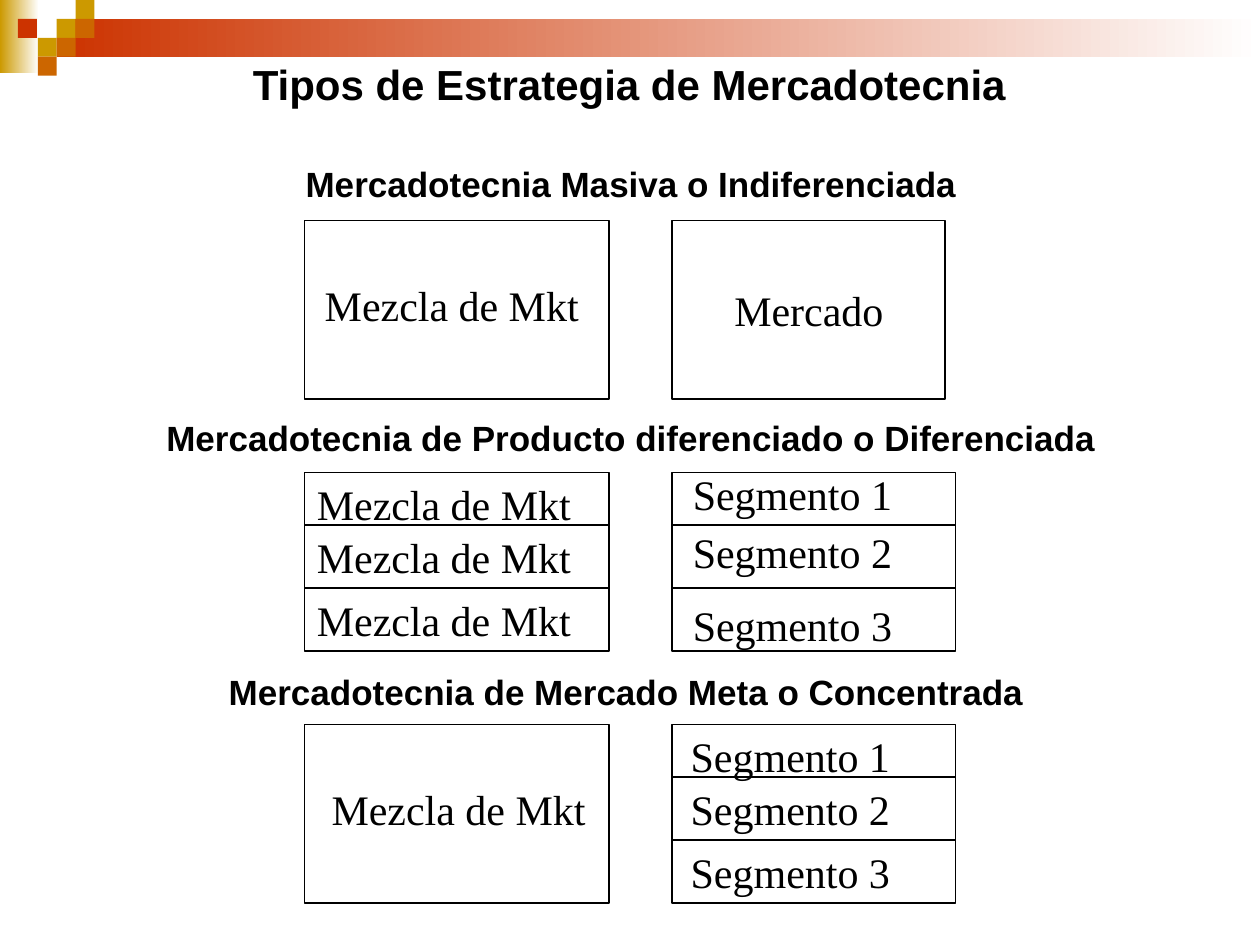
from lxml import etree
from pptx import Presentation
from pptx.dml.color import RGBColor
from pptx.enum.shapes import MSO_CONNECTOR, MSO_SHAPE
from pptx.enum.text import MSO_AUTO_SIZE, PP_ALIGN
from pptx.oxml.ns import qn
from pptx.util import Inches, Pt

RECT, LINE = MSO_SHAPE.RECTANGLE, MSO_CONNECTOR.STRAIGHT
GROW, CENTER, LEFT = MSO_AUTO_SIZE.SHAPE_TO_FIT_TEXT, PP_ALIGN.CENTER, PP_ALIGN.LEFT
COLORS = {"ink": "000000", "paper": "FFFFFF", "gold": "CC9900", "red": "CC3300", "orange": "CC6600"}
TITLE = {"name": "Arial", "size": Pt(24), "bold": True}
HEADING = {"name": "Arial", "size": Pt(20), "bold": True}
LABEL = {"name": "Times New Roman", "size": Pt(24), "bold": False}
UNIT = Inches(1) // 12
TILE = 1.8
PANEL_HEIGHT = 17
DIVIDERS = (5, 11)
MIX, SEGMENTS = "Mezcla de Mkt", ("Segmento 1", "Segmento 2", "Segmento 3")


def rgb(name):
    """Return the named colour."""
    return RGBColor.from_string(COLORS[name])


def units(*values):
    """Convert grid units, twelve to the inch, to lengths."""
    return [round(v * UNIT) for v in values]


def add_text(s, box, lines, style, align=LEFT, wrap=False, gap=0):
    """Write lines as paragraphs in a text box, with a gap in points between them."""
    tf = s.shapes.add_textbox(*units(*box)).text_frame
    tf.word_wrap, tf.auto_size = wrap, GROW
    for i, line in enumerate(lines):
        p = tf.paragraphs[0] if i == 0 else tf.add_paragraph()
        p.alignment = align
        p.space_before = Pt(gap if i else 0)
        r = p.add_run()
        r.text = line
        r.font.color.rgb = rgb("ink")
        for name, value in style.items():
            setattr(r.font, name, value)


def add_rect(s, box, fill=None, fade=False):
    """Add a plain or fading coloured block, or an outlined panel when no fill is named."""
    shape = s.shapes.add_shape(RECT, *units(*box))
    shape.shadow.inherit = False
    if fill is None:
        shape.fill.background()
        shape.line.color.rgb = rgb("ink")
        shape.line.width = Pt(0.75)
        return
    shape.line.fill.background()
    if fade:
        shape.fill.gradient()
        shape.fill.gradient_angle = 0
        for stop, name, position in zip(shape.fill.gradient_stops, (fill, "paper"), (0, 1)):
            stop.color.rgb, stop.position = rgb(name), position
    else:
        shape.fill.solid()
        shape.fill.fore_color.rgb = rgb(fill)


def add_divider(s, left, top, width):
    """Rule a horizontal line across a panel."""
    x1, y, x2 = units(left, top, left + width)
    line = s.shapes.add_connector(LINE, x1, y, x2, y)
    line.line.color.rgb = rgb("ink")
    line.line.width = Pt(0.75)
    etree.SubElement(line._element.spPr, qn("a:effectLst"))


def add_banner(s, width):
    """Draw the fading bars and the mosaic of tiles along the top."""
    add_rect(s, (0, 0, 3.7, 7), "gold", True)
    add_rect(s, (3 * TILE, TILE, width - 3 * TILE, 2 * TILE), "red", True)
    tiles = [(3, 1, "gold"), (4, 0, "gold"), (4, 1, "orange"), (2, 2, "gold"),
             (0.95, 1, "red"), (3, 2, "orange"), (2, 3, "orange")]
    for column, row, color in tiles:
        add_rect(s, (column * TILE, row * TILE, TILE, TILE), color)


def add_panel(s, box, labels, label_width, dx, offsets):
    """Draw a panel with one row per label, each label at its own offset."""
    left, top, width, _ = box
    add_rect(s, box)
    if len(labels) > 1:
        for dy in DIVIDERS:
            add_divider(s, left, top + dy, width)
    for label, dy in zip(labels, offsets):
        add_text(s, (left + dx, top + dy, label_width, 6), [label], LABEL)


def add_strategy(s, top, mix, market):
    """Place the mix panel and the market panel of one strategy side by side."""
    add_panel(s, (29, top, 29, PANEL_HEIGHT), *mix)
    width, *content = market
    add_panel(s, (64, top, width, PANEL_HEIGHT), *content)


def main():
    """Build and save the slide."""
    prs = Presentation()
    prs.slide_width, prs.slide_height = Inches(10), Inches(7.5)
    s = prs.slides.add_slide(prs.slide_layouts[6])
    add_banner(s, 120)
    add_text(s, (22.9, 5, 74.2, 6), ["Tipos de Estrategia de Mercadotecnia"], TITLE)
    headings = ["Mercadotecnia Masiva o Indiferenciada",
                "Mercadotecnia de Producto diferenciado o Diferenciada",
                "Mercadotecnia de Mercado Meta o Concentrada "]
    add_text(s, (14.2, 14.9, 91.8, 53.2), headings, HEADING, CENTER, True, 121)
    strategies = [
        (([MIX], 26.6, 0.75, [5]), (26, ["Mercado"], 16.7, 4.75, [5.5])),
        (([MIX] * 3, 26.6, 0, [0, 5, 11]), (27, SEGMENTS, 21.4, 0.8, [-1, 4.6, 11.5])),
        (([MIX], 26.6, 1.4, [5]), (27, SEGMENTS, 21.4, 0.6, [0, 5, 11])),
    ]
    for i, (mix, market) in enumerate(strategies):
        add_strategy(s, 21 + 24 * i, mix, market)
    prs.save("out.pptx")


if __name__ == "__main__":
    main()
